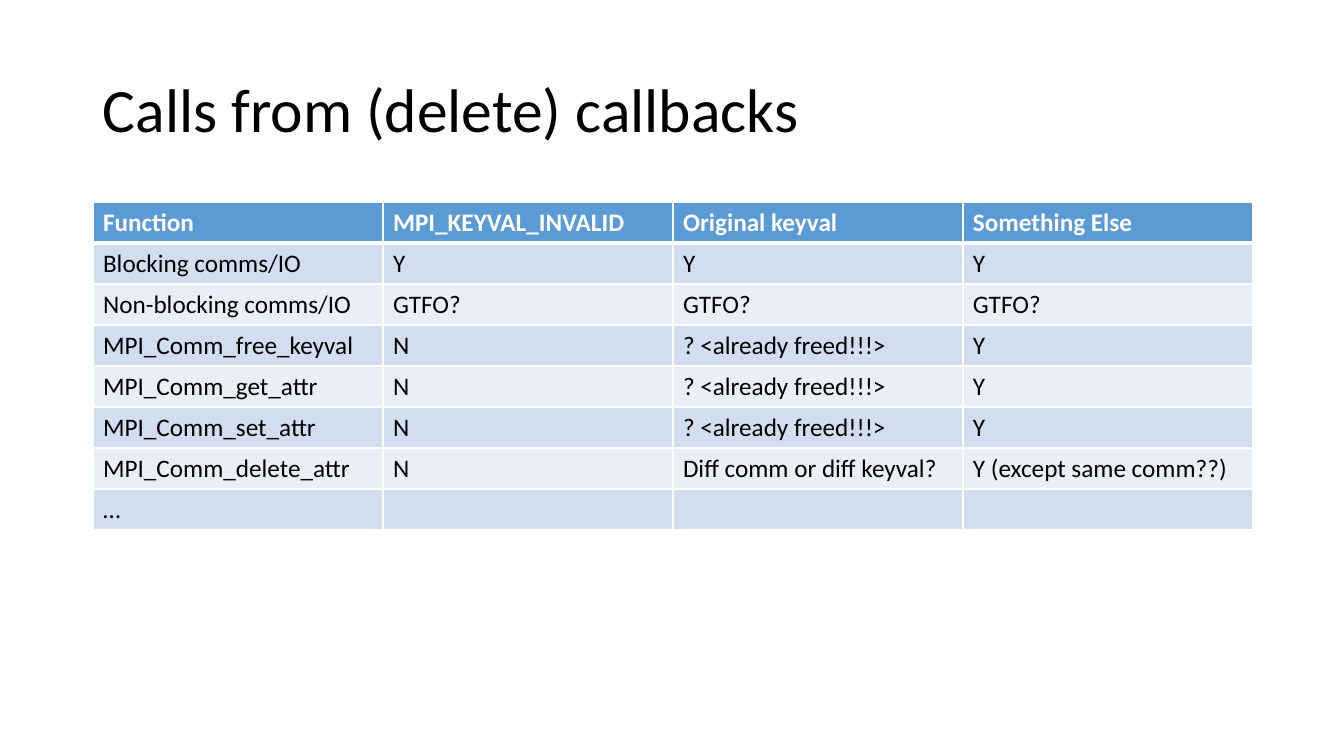
from lxml import etree
from pptx import Presentation
from pptx.dml.color import RGBColor
from pptx.enum.text import MSO_ANCHOR
from pptx.oxml.ns import qn
from pptx.util import Pt

MIDDLE = MSO_ANCHOR.MIDDLE
SCALE = 914400 / 100.8
LEFT, WIDTH = 93, 1160
ROW = 41
ROWS = [
    ["Function", "MPI_KEYVAL_INVALID", "Original keyval", "Something Else"],
    ["Blocking comms/IO", "Y", "Y", "Y"],
    ["Non-blocking comms/IO", "GTFO?", "GTFO?", "GTFO?"],
    ["MPI_Comm_free_keyval", "N", "? <already freed!!!>", "Y"],
    ["MPI_Comm_get_attr", "N", "? <already freed!!!>", "Y"],
    ["MPI_Comm_set_attr", "N", "? <already freed!!!>", "Y"],
    ["MPI_Comm_delete_attr", "N", "Diff comm or diff keyval?", "Y (except same comm??)"],
    ["…", "", "", ""],
]


def px(n):
    return round(n * SCALE)


def write(para, text, size, color, bold=False):
    run = para.add_run()
    run.text = text
    run.font.name = "Calibri"
    run.font.size = Pt(size)
    run.font.bold = bold
    run.font.color.rgb = RGBColor.from_string(color)


deck = Presentation()
deck.slide_width, deck.slide_height = px(1344), px(756)
slide = deck.slides.add_slide(deck.slide_layouts[6])

title = slide.shapes.add_textbox(px(LEFT), px(40), px(WIDTH), px(146)).text_frame
title.word_wrap = True
title.vertical_anchor = MIDDLE
title.paragraphs[0].line_spacing = 0.9
write(title.paragraphs[0], "Calls from (delete) callbacks", 44, "000000")

count = len(ROWS[0])
table = slide.shapes.add_table(
    len(ROWS), count, px(LEFT), px(202), px(WIDTH), px(ROW * len(ROWS))
).table
for col in table.columns:
    col.width = px(WIDTH // count)

for r, row in enumerate(ROWS):
    table.rows[r].height = px(ROW)
    head = r == 0
    fill = "5B9BD5" if head else ("EAEFF7", "D2DEEF")[r % 2]
    thick = {(0, "B"), (1, "T")}
    for c, text in enumerate(row):
        cell = table.cell(r, c)
        props = cell._tc.get_or_add_tcPr()
        for side in "LRTB":
            wide = Pt(3 if (r, side) in thick else 1)
            line = etree.SubElement(props, qn("a:ln" + side), w=str(wide))
            solid = etree.SubElement(line, qn("a:solidFill"))
            etree.SubElement(solid, qn("a:srgbClr"), val="FFFFFF")
        cell.fill.solid()
        cell.fill.fore_color.rgb = RGBColor.from_string(fill)
        if text:
            para = cell.text_frame.paragraphs[0]
            write(para, text, 18, "FFFFFF" if head else "000000", head)

deck.save("out.pptx")
